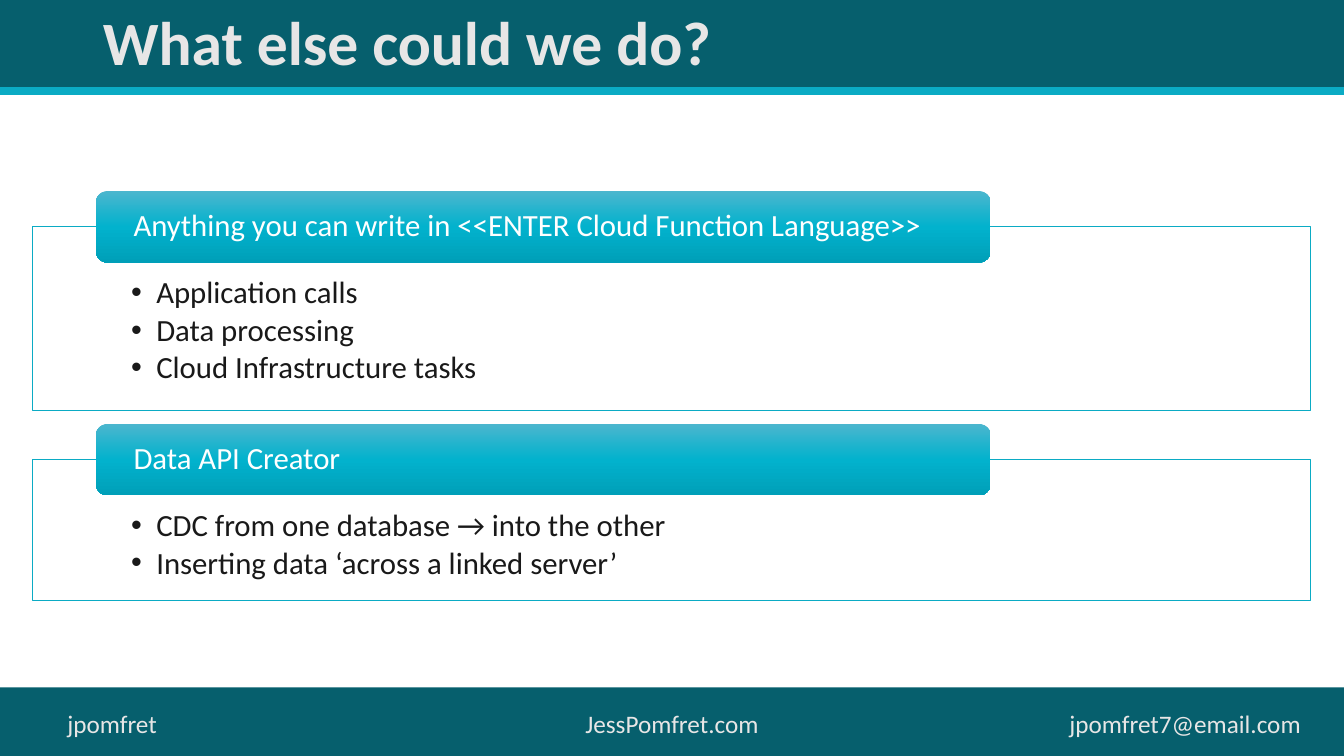
from copy import deepcopy
from dataclasses import dataclass

from pptx import Presentation
from pptx import util as u
from pptx.dml.color import RGBColor
from pptx.enum import shapes, text
from pptx.oxml.ns import qn
from lxml import etree


@dataclass(frozen=True)
class Theme:
    """Colours, font and type sizes of the deck."""
    band: str = "065F6D"
    accent: str = "0BABC4"
    pale: str = "E7E6E6"
    white: str = "FFFFFF"
    ink: str = "191919"
    gradient: tuple = ("4BB6CE", "02B2CD", "009FB8")
    font: str = "Calibri"
    title: int = 44
    body: int = 22
    footer: int = 18


THEME = Theme()
WIDTH, HEIGHT = 13.33, 7.5
HEADER_HEIGHT, FOOTER_TOP = 0.9, 6.82
PANEL_LEFT, PANEL_WIDTH, PANEL_GAP = 0.32, 12.68, 0.49
HEADING_HEIGHT = 0.71
TOPICS = [
    ("Anything you can write in <<ENTER Cloud Function Language>>",
     ["Application calls", "Data processing", "Cloud Infrastructure tasks"], 1.82),
    ("Data API Creator",
     ["CDC from one database → into the other",
      "Inserting data ‘across a linked server’"], 1.4),
]
CONTACTS = [
    ("jpomfret", 0.57, 4.03, text.PP_ALIGN.LEFT),
    ("JessPomfret.com", 5.65, 2.03, text.PP_ALIGN.CENTER),
    ("jpomfret7@email.com", 9.62, 3.38, text.PP_ALIGN.RIGHT),
]


def rgb(code):
    """Turn a hex code into a colour."""
    return RGBColor.from_string(code)


def style(paragraph, size, color, align=text.PP_ALIGN.LEFT, bold=False):
    """Set the font and alignment of a paragraph."""
    paragraph.alignment = align
    font = paragraph.font
    font.name, font.size, font.bold = THEME.font, u.Pt(size), bold
    font.color.rgb = rgb(color)


def set_margins(frame, left, top, right, bottom):
    """Set the inner margins of a text frame in inches."""
    frame.margin_left, frame.margin_top = u.Inches(left), u.Inches(top)
    frame.margin_right, frame.margin_bottom = u.Inches(right), u.Inches(bottom)


def add_block(slide, kind, left, top, width, height, fill=None):
    """Add a shape without shadow or outline, filled when a colour is given."""
    block = slide.shapes.add_shape(
        kind, u.Inches(left), u.Inches(top), u.Inches(width), u.Inches(height))
    block.shadow.inherit = False
    block.line.fill.background()
    if fill:
        block.fill.solid()
        block.fill.fore_color.rgb = rgb(fill)
    return block


def add_bullet(paragraph):
    """Give a paragraph a round bullet with a hanging indent."""
    properties = paragraph._p.get_or_add_pPr()
    properties.set("marL", str(u.Inches(0.25)))
    properties.set("indent", str(u.Inches(-0.25)))
    etree.SubElement(properties, qn("a:buFont"), typeface="Arial")
    etree.SubElement(properties, qn("a:buChar"), char="•")


def add_header(slide, width, height):
    """Draw the top band, its rule and the slide title."""
    add_block(slide, shapes.MSO_SHAPE.RECTANGLE, 0, 0, width, height, THEME.band)
    rule = slide.shapes.add_connector(
        shapes.MSO_CONNECTOR.STRAIGHT, 0, u.Inches(height), u.Inches(width), u.Inches(height))
    rule.line.color.rgb, rule.line.width = rgb(THEME.accent), u.Pt(6)
    etree.SubElement(rule._element.spPr, qn("a:effectLst"))

    title = slide.shapes.title
    title.left, title.top = u.Inches(0.92), 0
    title.width, title.height = u.Inches(11.5), u.Inches(height)
    frame = title.text_frame
    frame.text = "What else could we do?"
    frame.vertical_anchor = text.MSO_ANCHOR.MIDDLE
    frame.paragraphs[0].line_spacing = 0.9
    style(frame.paragraphs[0], THEME.title, THEME.pale, bold=True)
    slide.shapes._spTree.append(title._element)


def add_footer(slide, top, width, height):
    """Draw the bottom band with the contact details."""
    add_block(slide, shapes.MSO_SHAPE.RECTANGLE, 0, top, width, height, THEME.band)
    for contact, left, contact_width, align in CONTACTS:
        label = slide.shapes.add_textbox(
            u.Inches(left), u.Inches(top + 0.16), u.Inches(contact_width), u.Inches(0.4))
        label.text_frame.word_wrap = True
        label.text_frame.text = contact
        style(label.text_frame.paragraphs[0], THEME.footer, THEME.pale, align)


def add_heading(slide, heading, left, top, width, height):
    """Draw a rounded gradient bar with a topic heading."""
    bar = add_block(slide, shapes.MSO_SHAPE.ROUNDED_RECTANGLE, left, top, width, height)
    bar.fill.gradient()
    bar.fill.gradient_angle = 270
    stops = bar._element.spPr.find(qn("a:gradFill")).find(qn("a:gsLst"))
    stops.insert(1, deepcopy(stops[0]))
    for index, (stop, color) in enumerate(zip(bar.fill.gradient_stops, THEME.gradient)):
        stop.position, stop.color.rgb = index / 2, rgb(color)

    frame = bar.text_frame
    frame.word_wrap = True
    frame.vertical_anchor = text.MSO_ANCHOR.MIDDLE
    set_margins(frame, 0.34, 0, 0.34, 0)
    frame.text = heading
    frame.paragraphs[0].line_spacing = 0.9
    style(frame.paragraphs[0], THEME.body, THEME.white)


def add_topic(slide, heading, points, left, top, width, height):
    """Draw an outlined panel of points with its heading on the top edge."""
    panel = add_block(slide, shapes.MSO_SHAPE.RECTANGLE, left, top, width, height, THEME.white)
    panel.line.color.rgb, panel.line.width = rgb(THEME.accent), u.Pt(0.5)
    frame = panel.text_frame
    frame.word_wrap = True
    frame.vertical_anchor = text.MSO_ANCHOR.TOP
    set_margins(frame, 0.98, 0.5, 0.98, 0.17)
    frame.text = "\n".join(points)
    for point in frame.paragraphs:
        point.line_spacing, point.space_after = 0.9, u.Pt(3)
        style(point, THEME.body, THEME.ink)
        add_bullet(point)
    add_heading(slide, heading, left + 0.63, top - HEADING_HEIGHT / 2,
                width * 0.7, HEADING_HEIGHT)


def main():
    """Build the slide and save it."""
    deck = Presentation()
    deck.slide_width, deck.slide_height = u.Inches(WIDTH), u.Inches(HEIGHT)
    slide = deck.slides.add_slide(deck.slide_layouts[5])
    add_header(slide, WIDTH, HEADER_HEIGHT)
    add_footer(slide, FOOTER_TOP, WIDTH, HEIGHT - FOOTER_TOP)
    top = 2.25
    for heading, points, height in TOPICS:
        add_topic(slide, heading, points, PANEL_LEFT, top, PANEL_WIDTH, height)
        top += height + PANEL_GAP
    deck.save("out.pptx")


if __name__ == "__main__":
    main()
